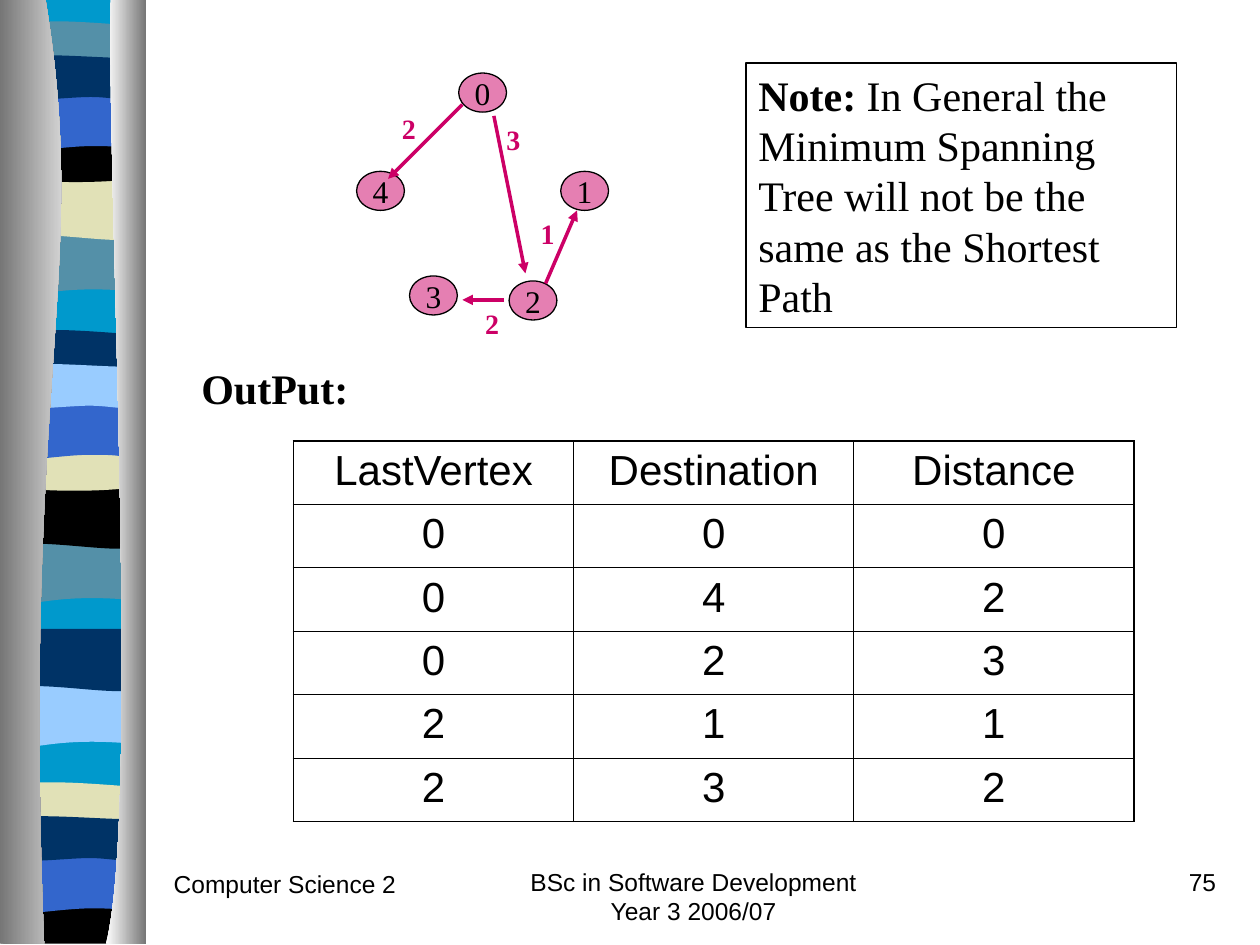
"""Build a slide on a minimum spanning tree with its output table."""
from lxml import etree
from pptx import Presentation
from pptx.dml.color import RGBColor
from pptx.enum.shapes import MSO_CONNECTOR, MSO_SHAPE
from pptx.enum.text import MSO_ANCHOR, PP_ALIGN
from pptx.oxml.ns import qn
from pptx.util import Inches, Pt

LINE = MSO_CONNECTOR.STRAIGHT
OVAL, RECT = MSO_SHAPE.OVAL, MSO_SHAPE.RECTANGLE
TOP, MIDDLE = MSO_ANCHOR.TOP, MSO_ANCHOR.MIDDLE
LEFT, MID, RIGHT = PP_ALIGN.LEFT, PP_ALIGN.CENTER, PP_ALIGN.RIGHT
SERIF, SANS = "Times New Roman", "Arial"
BLACK, PINK = "000000", "CC0066"
SKY, TEAL, SAND = "0099CC", "5490A8", "E1E1B7"
BLUE, NAVY, PALE = "3366CC", "003366", "99CCFF"
hue = RGBColor.from_string


def trace(path, left=0, top=0):
    """Draw a closed outline; six numbers make a curve, two a straight side."""
    spots = [(Inches(left + part[i]), Inches(top + part[i + 1]))
             for part in path for i in range(0, len(part), 2)]
    pen = slide.shapes.build_freeform(*spots[0], scale=1.0)
    pen.add_line_segments(spots[1:], close=True)
    shape = pen.convert_to_shape()
    sides = iter(shape._element.findall(".//" + qn("a:lnTo")))
    for part in path[1:]:
        side = next(sides)
        if len(part) == 6:
            side.tag_name = None
            curve = etree.Element(qn("a:cubicBezTo"))
            side.addprevious(curve)
            for piece in (side, next(sides), next(sides)):
                curve.append(piece[0])
                piece.getparent().remove(piece)
    shape.shadow.inherit = False
    shape.line.fill.background()
    return shape


def write(frame, text, size=24, font=SERIF, color=BLACK, bold=False, align=LEFT,
          anchor=TOP, wrap=True, lead=""):
    """Put text in a frame, after an optional bold lead."""
    frame.word_wrap = wrap
    frame.vertical_anchor = anchor
    para = frame.paragraphs[0]
    para.alignment = align
    for words, heavy in ((lead, True), (text, bold)):
        if words:
            run = para.add_run()
            run.text = words
            run.font.size, run.font.name, run.font.bold = Pt(size), font, heavy
            run.font.color.rgb = hue(color)


deck = Presentation()
deck.slide_width, deck.slide_height = Inches(10), Inches(7.5)
slide = deck.slides.add_slide(deck.slide_layouts[6])
shapes = slide.shapes

back = trace([(1.14, -0.01), (1.14, 7.47), (0.06, 7.47), (0.06, -0.01)])
back.fill.solid()
back.fill.fore_color.rgb = hue(SKY)

wave = [(1.08, 0), (1.08, 0, 1.08, 0.47, 1.08, 0.47), (0.33, 0.39, 0.18, 0.55, 0, 0.47),
        (0, 0)]
swell = [(1.08, 0), (1.08, 0.47), (0.9, 0.55, 0.33, 0.41, 0, 0.47), (0, 0)]
slim = [(1.08, 0.05), (1.08, 0.29), (0.9, 0.33, 0.18, 0.33, 0, 0.29), (0, 0.05),
        (0.07, 0, 0.23, 0.01, 0.41, 0.01), (0.59, 0.01, 0.94, 0.04, 1.08, 0.05)]
dip = [(1.08, 0), (1.08, 0.32), (0.9, 0.38, 0.18, 0.38, 0, 0.32), (0, 0),
       (0.66, 0.05, 0.85, 0, 1.08, 0)]
block = [(1.08, 0), (1.08, 0.37), (0, 0.37), (0, 0), (0.66, 0.05, 0.85, 0, 1.08, 0)]
arch = [(1.08, 0), (1.08, 0, 1.08, 0.47, 1.08, 0.47), (0.91, 0.42, 0.84, 0.42, 0.66, 0.42),
        (0.48, 0.42, 0.16, 0.47, 0, 0.47), (0, 0)]
wide = [(1.08, 0.05), (1.08, 0.36), (1.01, 0.41, 0.84, 0.36, 0.66, 0.36),
        (0.48, 0.36, 0.11, 0.41, 0, 0.36), (0, 0.05), (0.15, 0, 0.73, 0.05, 0.91, 0.05),
        (1.09, 0.05, 1.04, 0.05, 1.08, 0.05)]
bands = [
    (wave, 1.85, 3.59, (TEAL, TEAL, PALE)),
    (swell, 1.41, 3.58, (SAND, BLACK, NAVY)),
    (slim, 0.16, 6.04, (TEAL, NAVY, SAND)),
    (dip, 1.08, 6.04, (BLACK, SAND, BLACK)),
    (arch, 0.74, 6.05, (BLUE, BLUE, BLUE)),
    (wide, 0.41, 6.04, (NAVY, PALE, NAVY)),
]
for turn, left in enumerate((0.06, 0.05, 0.05)):
    for path, top, last, tints in bands:
        form = block if path is dip and turn == 2 else path
        band = trace(form, left, top + (0, 2.45, last)[turn])
        band.fill.solid()
        band.fill.fore_color.rgb = hue(tints[turn])

rails = [
    ([(0.36, -0.01), (0.72, 2.16, 0.17, 2.96, 0.35, 7.49), (0, 7.49), (0, -0.01)],
     "767676", "FFFFFF"),
    ([(0.88, -0.01), (0.84, 1.25, 1.12, 6.46, 0.84, 7.49), (1.16, 7.49), (1.16, 0)],
     "FFFFFF", "767676"),
]
for path, start, end in rails:
    rail = trace(path)
    rail.fill.gradient()
    rail.fill.gradient_angle = 0
    for stop, tint in zip(rail.fill.gradient_stops, (start, end)):
        stop.color.rgb = hue(tint)

feet = [
    ("Computer Science 2", 1.28, 6.85, 2.08, LEFT),
    ("BSc in Software Development Year 3 2006/07", 3.92, 6.83, 3.17, MID),
    ("75", 7.67, 6.83, 2.08, RIGHT),
]
for text, left, top, width, align in feet:
    box = shapes.add_textbox(Inches(left), Inches(top), Inches(width), Inches(0.5))
    write(box.text_frame, text, size=14, font=SANS, align=align)

nodes = [("2", 4.04, 2.23), ("0", 3.64, 0.58), ("3", 3.25, 2.19), ("1", 4.45, 1.36),
         ("4", 2.83, 1.36)]
for text, left, top in nodes:
    node = shapes.add_shape(OVAL, Inches(left), Inches(top), Inches(0.38), Inches(0.31))
    node.shadow.inherit = False
    node.fill.solid()
    node.fill.fore_color.rgb = hue(PINK)
    tint = node.fill._xPr.find(".//" + qn("a:srgbClr"))
    etree.SubElement(tint, qn("a:alpha"), val="50000")
    node.line.color.rgb = hue(BLACK)
    node.line.width = Pt(0.75)
    write(node.text_frame, text, size=18, align=MID, anchor=MIDDLE, wrap=False)

edges = [
    ((3.67, 0.83, 3.08, 1.42), "2", 3.09, 0.83),
    ((3.92, 0.92, 4.17, 2.17), "3", 3.92, 0.92),
    ((4, 2.38, 3.67, 2.38), "2", 3.75, 2.38),
    ((4.33, 2.25, 4.58, 1.67), "1", 4.19, 1.67),
]
for ends, cost, left, top in edges:
    edge = shapes.add_connector(LINE, *map(Inches, ends))
    edge.line.color.rgb = hue(PINK)
    edge.line.width = Pt(2)
    etree.SubElement(edge.line._get_or_add_ln(), qn("a:tailEnd"), type="triangle")
    etree.SubElement(edge._element.spPr, qn("a:effectLst"))
    box = shapes.add_textbox(Inches(left), Inches(top), Inches(0.31), Inches(0.37))
    write(box.text_frame, cost, size=16, color=PINK, bold=True, align=MID, anchor=MIDDLE,
          wrap=False)

box = shapes.add_textbox(Inches(1.5), Inches(2.83), Inches(8.33), Inches(1.11))
write(box.text_frame, "OutPut:", bold=True)

rows = [("LastVertex", "Destination", "Distance"), "000", "042", "023", "211", "232"]
grid = shapes.add_table(6, 3, Inches(2.33), Inches(3.5), Inches(6.67), Inches(3.02)).table
grid.first_row = grid.horz_banding = False
for r, row in enumerate(rows):
    for c, text in enumerate(row):
        cell = grid.cell(r, c)
        cell.fill.background()
        write(cell.text_frame, text, font=SANS, align=MID)
        rims = [("L", c == 0), ("R", c == 2), ("T", r == 0), ("B", r == 5)]
        for place, (side, outer) in enumerate(rims):
            rim = etree.Element(qn("a:ln" + side), w=str(Pt(1.08 if outer else 0.45)))
            fill = etree.SubElement(rim, qn("a:solidFill"))
            etree.SubElement(fill, qn("a:srgbClr"), val=BLACK)
            cell._tc.get_or_add_tcPr().insert(place, rim)

note = shapes.add_shape(RECT, Inches(5.92), Inches(0.5), Inches(3.42), Inches(2.1))
note.shadow.inherit = False
note.fill.background()
note.line.color.rgb = hue(BLACK)
note.line.width = Pt(0.75)
write(note.text_frame, " In General the Minimum Spanning Tree will not be the same as the "
      "Shortest Path", lead="Note:")

deck.save("out.pptx")
